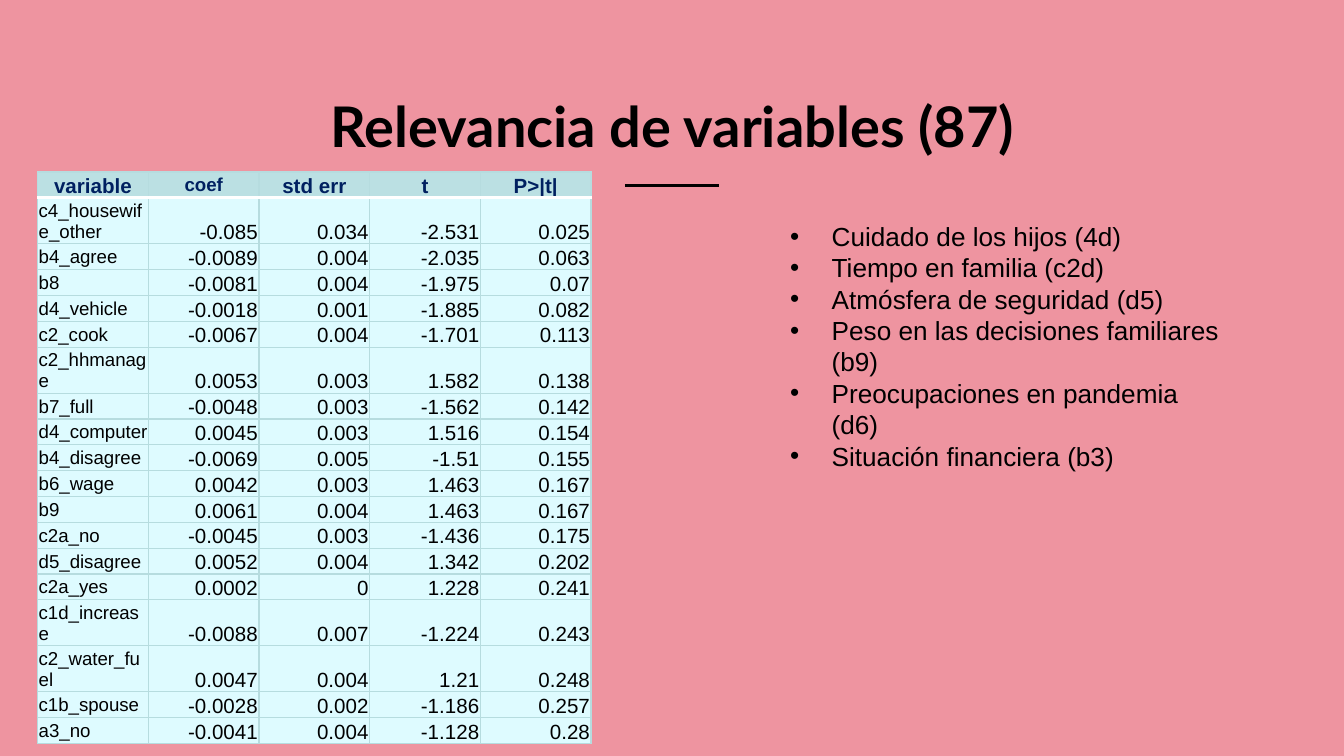
"""Build the slide on variable relevance with its regression table."""
from typing import NamedTuple

from lxml import etree
from pptx import Presentation
from pptx.dml.color import RGBColor
from pptx.enum.shapes import MSO_CONNECTOR
from pptx.enum.text import MSO_ANCHOR, MSO_AUTO_SIZE, PP_ALIGN
from pptx.oxml.ns import qn
from pptx.util import Inches, Pt

LEFT, CENTER, RIGHT = PP_ALIGN.LEFT, PP_ALIGN.CENTER, PP_ALIGN.RIGHT
TOP, MIDDLE, BOTTOM = MSO_ANCHOR.TOP, MSO_ANCHOR.MIDDLE, MSO_ANCHOR.BOTTOM
NO_AUTOFIT = MSO_AUTO_SIZE.NONE
STRAIGHT = MSO_CONNECTOR.STRAIGHT

PINK = RGBColor(0xEE, 0x94, 0xA0)
BLACK = RGBColor(0, 0, 0)
NAVY = RGBColor(0x00, 0x20, 0x60)
WHITE = RGBColor(0xFF, 0xFF, 0xFF)
HEADER_FILL = RGBColor(0xBB, 0xE0, 0xE3)
BODY_FILL = RGBColor(0xDE, 0xFB, 0xFF)
GRID = RGBColor(0xB6, 0xDC, 0xDF)

SLIDE_WIDTH = 10
TABLE_WIDTH = 4.12
ROW_HEIGHT = 0.19
TALL_ROW_HEIGHT = 0.33
CELL_MARGIN = Pt(0.6)


class Coefficient(NamedTuple):
    variable: str
    coef: str
    std_err: str
    t: str
    p_value: str


class CellStyle(NamedTuple):
    size: int
    align: PP_ALIGN
    anchor: MSO_ANCHOR
    color: RGBColor
    bold: bool
    fill: RGBColor


HEADER = Coefficient("variable", "coef", "std err", "t", "P>|t|")
COEFFICIENTS = [
    Coefficient("c4_housewife_other", "-0.085", "0.034", "-2.531", "0.025"),
    Coefficient("b4_agree", "-0.0089", "0.004", "-2.035", "0.063"),
    Coefficient("b8", "-0.0081", "0.004", "-1.975", "0.07"),
    Coefficient("d4_vehicle", "-0.0018", "0.001", "-1.885", "0.082"),
    Coefficient("c2_cook", "-0.0067", "0.004", "-1.701", "0.113"),
    Coefficient("c2_hhmanage", "0.0053", "0.003", "1.582", "0.138"),
    Coefficient("b7_full", "-0.0048", "0.003", "-1.562", "0.142"),
    Coefficient("d4_computer", "0.0045", "0.003", "1.516", "0.154"),
    Coefficient("b4_disagree", "-0.0069", "0.005", "-1.51", "0.155"),
    Coefficient("b6_wage", "0.0042", "0.003", "1.463", "0.167"),
    Coefficient("b9", "0.0061", "0.004", "1.463", "0.167"),
    Coefficient("c2a_no", "-0.0045", "0.003", "-1.436", "0.175"),
    Coefficient("d5_disagree", "0.0052", "0.004", "1.342", "0.202"),
    Coefficient("c2a_yes", "0.0002", "0", "1.228", "0.241"),
    Coefficient("c1d_increase", "-0.0088", "0.007", "-1.224", "0.243"),
    Coefficient("c2_water_fuel", "0.0047", "0.004", "1.21", "0.248"),
    Coefficient("c1b_spouse", "-0.0028", "0.002", "-1.186", "0.257"),
    Coefficient("a3_no", "-0.0041", "0.004", "-1.128", "0.28"),
]
TOPICS = [
    "Cuidado de los hijos (4d)",
    "Tiempo en familia (c2d)",
    "Atmósfera de seguridad (d5)",
    "Peso en las decisiones familiares (b9)",
    "Preocupaciones en pandemia (d6)",
    "Situación financiera (b3)",
]

HEADER_STYLE = CellStyle(11, CENTER, BOTTOM, NAVY, True, HEADER_FILL)
COEF_HEADER_STYLE = HEADER_STYLE._replace(size=10, anchor=MIDDLE)
NAME_STYLE = CellStyle(10, LEFT, MIDDLE, BLACK, False, BODY_FILL)
VALUE_STYLE = CellStyle(11, RIGHT, BOTTOM, BLACK, False, BODY_FILL)


def set_font(font, name: str, size: int, color: RGBColor, bold: bool = False) -> None:
    font.name, font.size, font.bold = name, Pt(size), bold
    font.color.rgb = color


def add_title(slide, text: str) -> None:
    title = slide.shapes.title
    title.left, title.top = Inches(1.85), Inches(0.58)
    title.width, title.height = Inches(6.31), Inches(0.58)
    frame = title.text_frame
    frame.text = text
    frame.auto_size = NO_AUTOFIT
    frame.vertical_anchor = TOP
    frame.margin_left = frame.margin_right = Inches(0.1)
    frame.margin_top = frame.margin_bottom = Inches(0.1)
    paragraph = frame.paragraphs[0]
    paragraph.alignment = CENTER
    set_font(paragraph.font, "Lato", 30, BLACK, True)


def add_rule(slide) -> None:
    rule = slide.shapes.add_connector(
        STRAIGHT, Inches(4.65), Inches(1.38), Inches(5.35), Inches(1.38))
    rule.line.color.rgb = BLACK
    rule.line.width = Pt(1.5)
    etree.SubElement(rule._element.spPr, qn("a:effectLst"))


def add_topics(slide, topics: list[str]) -> None:
    box = slide.shapes.add_textbox(Inches(5.78), Inches(1.59), Inches(3.45), Inches(2.46))
    frame = box.text_frame
    frame.word_wrap = True
    frame.text = "\n".join(topics)
    for paragraph in frame.paragraphs:
        properties = paragraph._p.get_or_add_pPr()
        properties.set("marL", str(Inches(0.31)))
        properties.set("indent", str(-Inches(0.31)))
        etree.SubElement(properties, qn("a:buFont"), typeface="Arial")
        etree.SubElement(properties, qn("a:buChar"), char="•")
        set_font(paragraph.font, "Arial", 14, BLACK)


def add_border(cell, side: str, color: RGBColor, width: float) -> None:
    line = etree.SubElement(
        cell._tc.get_or_add_tcPr(), qn(f"a:ln{side}"), w=str(Pt(width)))
    fill = etree.SubElement(line, qn("a:solidFill"))
    etree.SubElement(fill, qn("a:srgbClr"), val=str(color))


def fill_cell(cell, text: str, style: CellStyle, row: int) -> None:
    for side in "LRTB":
        under_header = (row, side) in ((0, "B"), (1, "T"))
        color, width = (WHITE, 2) if under_header else (GRID, 0.75)
        add_border(cell, side, color, width)
    cell.fill.solid()
    cell.fill.fore_color.rgb = style.fill
    cell.margin_left = cell.margin_right = cell.margin_top = CELL_MARGIN
    cell.margin_bottom = 0
    cell.vertical_anchor = style.anchor
    cell.text = text
    paragraph = cell.text_frame.paragraphs[0]
    paragraph.alignment = style.align
    set_font(paragraph.font, "Arial", style.size, style.color, style.bold)


def cell_style(row: int, column: int) -> CellStyle:
    if row == 0:
        return COEF_HEADER_STYLE if column == 1 else HEADER_STYLE
    return NAME_STYLE if column == 0 else VALUE_STYLE


def add_coefficient_table(slide, records: list[Coefficient]) -> None:
    columns = len(HEADER)
    table = slide.shapes.add_table(
        len(records), columns, Inches(0.28), Inches(1.28),
        Inches(TABLE_WIDTH), Inches(len(records) * ROW_HEIGHT)).table
    table.horz_banding = False
    for column in table.columns:
        column.width = Inches(TABLE_WIDTH / columns)
    for row, record in enumerate(records):
        table.rows[row].height = Inches(TALL_ROW_HEIGHT if row == 1 else ROW_HEIGHT)
        for column, text in enumerate(record):
            fill_cell(table.cell(row, column), text, cell_style(row, column), row)


def main() -> None:
    presentation = Presentation()
    presentation.slide_width = Inches(SLIDE_WIDTH)
    presentation.slide_height = Inches(SLIDE_WIDTH * 9 / 16)
    slide = presentation.slides.add_slide(presentation.slide_layouts[5])
    slide.background.fill.solid()
    slide.background.fill.fore_color.rgb = PINK
    add_title(slide, "Relevancia de variables (87)")
    add_rule(slide)
    add_topics(slide, TOPICS)
    add_coefficient_table(slide, [HEADER, *COEFFICIENTS])
    presentation.save("out.pptx")


if __name__ == "__main__":
    main()
